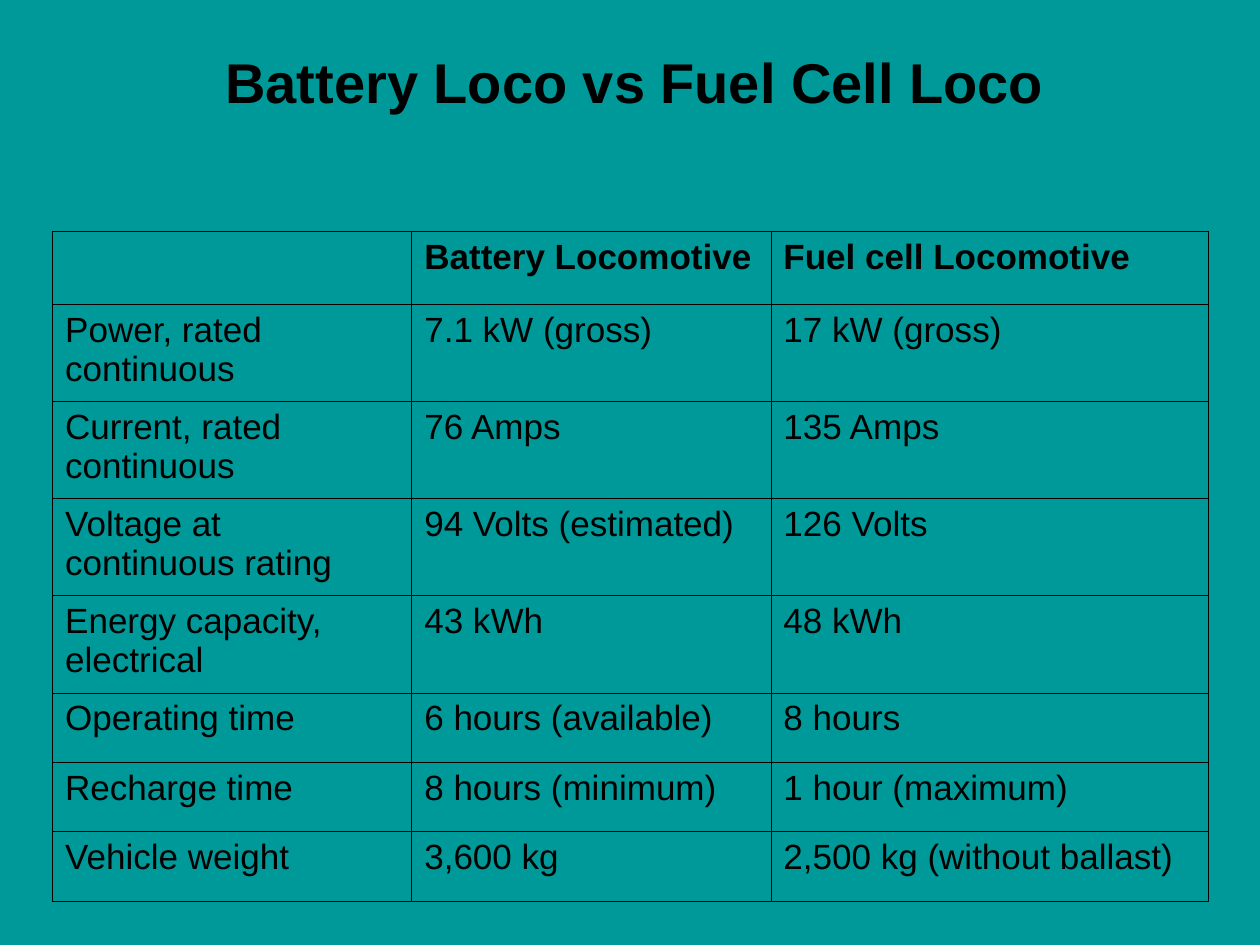
from lxml.etree import SubElement
from pptx import Presentation
from pptx.dml.color import RGBColor
from pptx.enum.text import PP_ALIGN
from pptx.oxml.ns import qn
from pptx.util import Cm, Pt

COLORS = {"background": "009999", "ink": "000000"}
FONT = "Arial"

SPECS = [
    ("", "Battery Locomotive", "Fuel cell Locomotive"),
    ("Power, rated continuous", "7.1 kW (gross)", "17 kW (gross)"),
    ("Current, rated continuous", "76 Amps", "135 Amps"),
    ("Voltage at continuous rating", "94 Volts (estimated)", "126 Volts"),
    ("Energy capacity, electrical", "43 kWh", "48 kWh"),
    ("Operating time", "6 hours (available)", "8 hours"),
    ("Recharge time", "8 hours (minimum)", "1 hour (maximum)"),
    ("Vehicle weight", "3,600 kg", "2,500 kg (without ballast)"),
]
COLUMN_WIDTHS = [7.24, 7.24, 8.81]
ROW_HEIGHTS = [1.47] + [1.96] * 4 + [1.4] * 3


def style_text(paragraph, size, bold):
    paragraph.font.name = FONT
    paragraph.font.size = Pt(size)
    paragraph.font.bold = bold
    paragraph.font.color.rgb = RGBColor.from_string(COLORS["ink"])


def outline_cell(cell):
    properties = cell._tc.get_or_add_tcPr()
    for side in ("a:lnL", "a:lnR", "a:lnT", "a:lnB"):
        border = SubElement(properties, qn(side), w=str(Pt(0.45)))
        fill = SubElement(border, qn("a:solidFill"))
        SubElement(fill, qn("a:srgbClr"), val=COLORS["ink"])


# Slide and background
prs = Presentation()
prs.slide_width, prs.slide_height = Cm(25.4), Cm(19.05)
slide = prs.slides.add_slide(prs.slide_layouts[6])
slide.background.fill.solid()
slide.background.fill.fore_color.rgb = RGBColor.from_string(COLORS["background"])

# Comparison table
comparison = slide.shapes.add_table(
    len(SPECS), len(COLUMN_WIDTHS), Cm(1.06), Cm(4.66),
    Cm(sum(COLUMN_WIDTHS)), Cm(sum(ROW_HEIGHTS))).table
comparison.horz_banding = False
for column, width in zip(comparison.columns, COLUMN_WIDTHS):
    column.width = Cm(width)
for row, height, texts in zip(comparison.rows, ROW_HEIGHTS, SPECS):
    row.height = Cm(height)
    for cell, text in zip(row.cells, texts):
        cell.text = text
        style_text(cell.text_frame.paragraphs[0], 20, texts is SPECS[0])
        outline_cell(cell)
        cell.fill.background()

# Title
title = slide.shapes.add_textbox(Cm(1.27), Cm(0.84), Cm(23.06), Cm(1.63))
title.text_frame.word_wrap = True
heading = title.text_frame.paragraphs[0]
heading.text = "Battery Loco vs Fuel Cell Loco"
heading.alignment = PP_ALIGN.CENTER
style_text(heading, 32, True)

prs.save("out.pptx")
